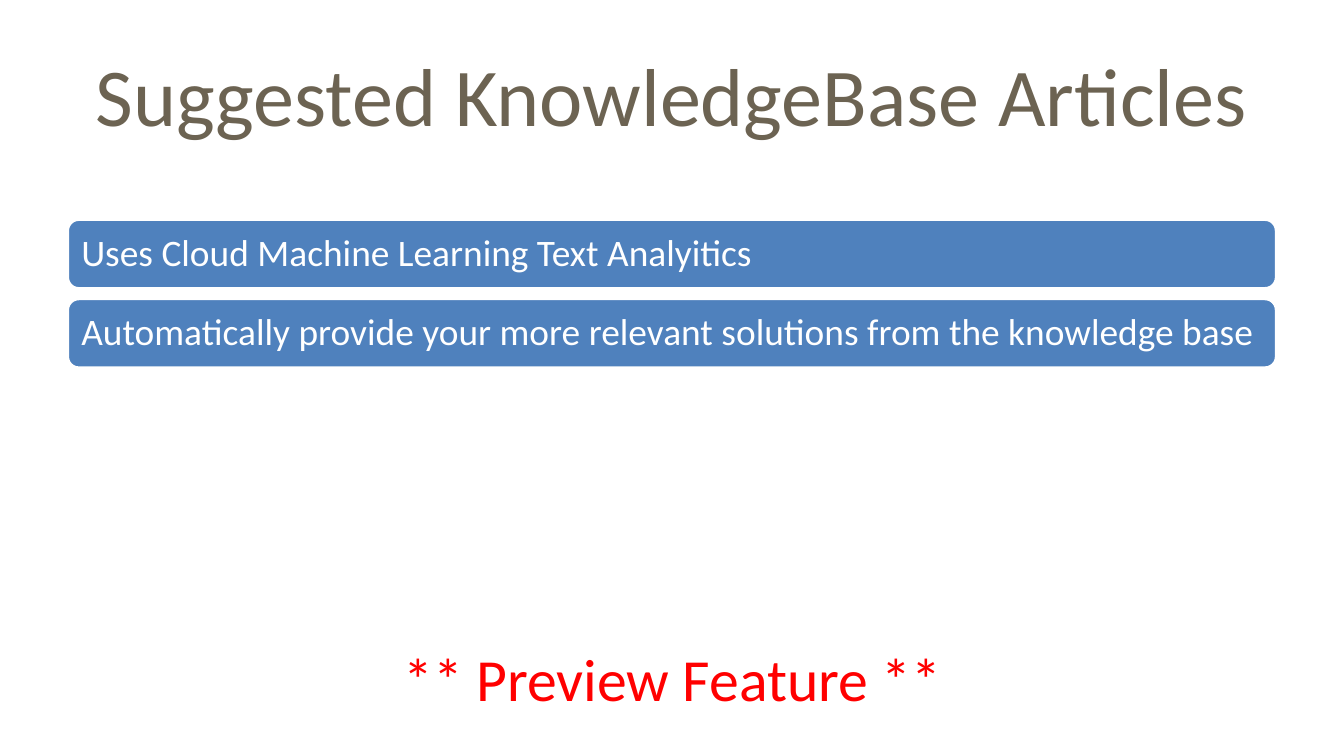
"""Build the Suggested KnowledgeBase Articles slide."""
from pptx import Presentation
from pptx.dml.color import RGBColor
from pptx.enum.shapes import MSO_SHAPE
from pptx.enum.text import MSO_ANCHOR, PP_ALIGN
from pptx.util import Inches, Pt

ROUNDED = MSO_SHAPE.ROUNDED_RECTANGLE
TOP, MIDDLE = MSO_ANCHOR.TOP, MSO_ANCHOR.MIDDLE
LEFT, CENTER = PP_ALIGN.LEFT, PP_ALIGN.CENTER


def color(value):
    return RGBColor.from_string(value)


def write(frame, text, size, ink, align=CENTER, anchor=MIDDLE, wrap=True, spacing=1.0):
    frame.word_wrap = wrap
    frame.vertical_anchor = anchor
    paragraph = frame.paragraphs[0]
    paragraph.text = text
    paragraph.alignment = align
    paragraph.line_spacing = spacing
    paragraph.font.name = "Calibri"
    paragraph.font.size = Pt(size)
    paragraph.font.color.rgb = color(ink)


deck = Presentation()
deck.slide_width, deck.slide_height = Inches(10), Inches(10 * 9 / 16)
slide = deck.slides.add_slide(deck.slide_layouts[6])

title = slide.shapes.add_textbox(Inches(0.5), Inches(0.23), Inches(9), Inches(0.94))
write(title.text_frame, "Suggested KnowledgeBase Articles", size=44, ink="6C6352")

benefits = [
    "Uses Cloud Machine Learning Text Analyitics",
    "Automatically provide your more relevant solutions from the knowledge base",
]
for row, benefit in enumerate(benefits):
    bar = slide.shapes.add_shape(
        ROUNDED, Inches(0.5), Inches(1.63 + 0.59 * row), Inches(9), Inches(0.52)
    )
    bar.shadow.inherit = False
    bar.fill.solid()
    bar.fill.fore_color.rgb = color("4F81BD")
    bar.line.color.rgb = color("FFFFFF")
    bar.line.width = Pt(2)
    label = bar.text_frame
    label.margin_left = label.margin_right = Inches(0.08)
    label.margin_top = label.margin_bottom = Inches(0.08)
    write(label, benefit, size=20, ink="FFFFFF", align=LEFT, spacing=0.9)

preview = slide.shapes.add_textbox(Inches(2.88), Inches(4.73), Inches(4.25), Inches(0.64))
write(preview.text_frame, "** Preview Feature **", size=32, ink="FF0000", anchor=TOP, wrap=False)

deck.save("out.pptx")
